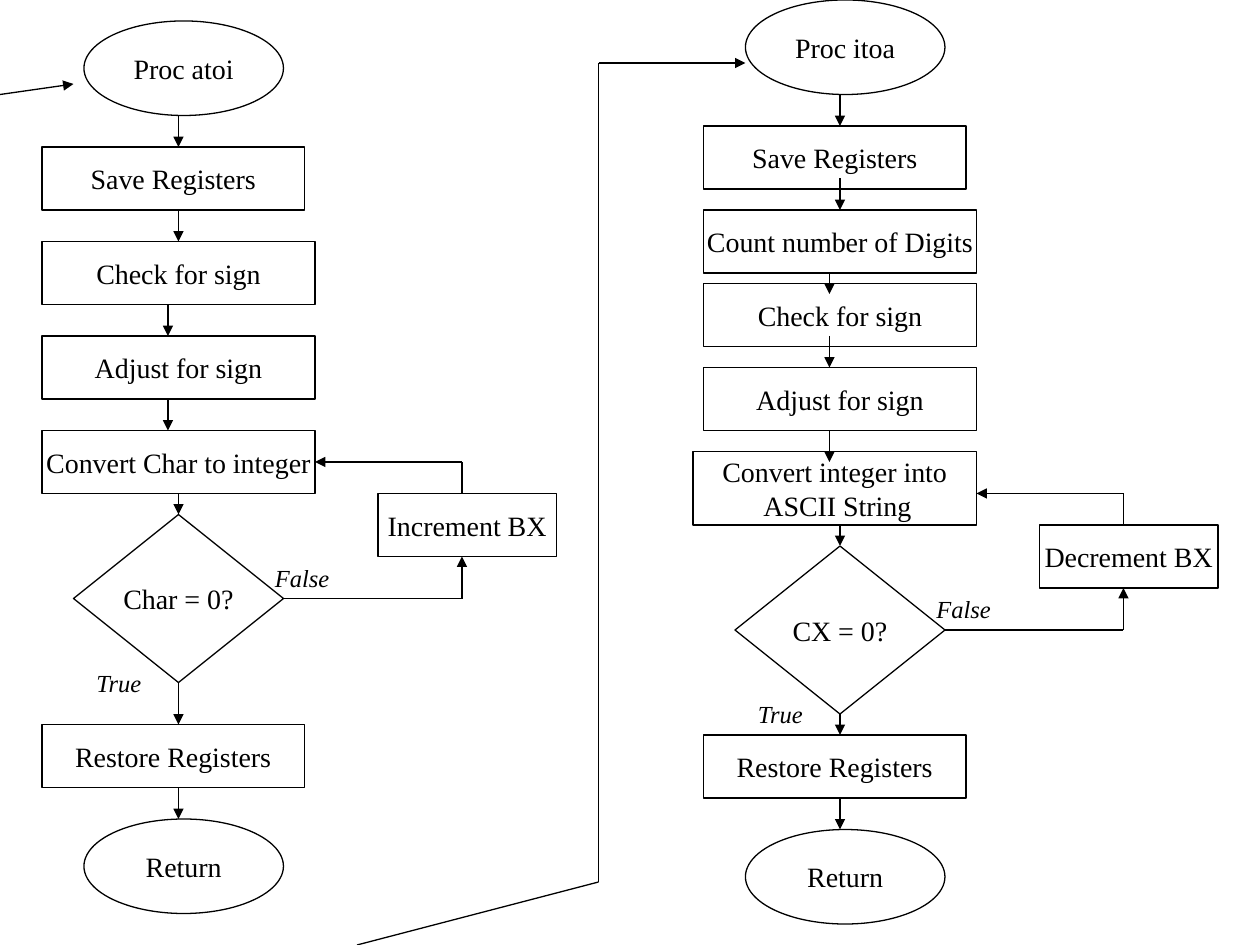
"""Build a slide with the atoi and itoa flowcharts side by side."""
from dataclasses import dataclass

from lxml import etree
from pptx import Presentation
from pptx import util as u
from pptx.dml.color import RGBColor
from pptx.enum import shapes, text
from pptx.oxml.ns import qn
from pptx.slide import Slide

PX = 9525
FONT = "Times New Roman"
BLACK, WHITE = "000000", "FFFFFF"
RECT = shapes.MSO_SHAPE.RECTANGLE
OVAL = shapes.MSO_SHAPE.OVAL
DIAMOND = shapes.MSO_SHAPE.DIAMOND
AXIS, SIGN_AXIS, LOOP_AXIS = 136, 128, 352


@dataclass(frozen=True)
class Node:
    """A flowchart symbol, measured in px from its chart's left edge."""
    words: tuple[str, ...]
    y: int
    x: int = 32
    width: int = 208
    height: int = 48
    kind: shapes.MSO_SHAPE = RECT


@dataclass(frozen=True)
class Line:
    """A straight line in px, with an arrowhead at its end or none."""
    x1: int
    y1: int
    x2: int
    y2: int
    head: bool = True


@dataclass(frozen=True)
class Chart:
    """One procedure: its steps, the arrows between them and its test."""
    left: int
    start: Node
    steps: tuple[Node, ...]
    drops: tuple[tuple[int, int, int], ...]
    test: str
    test_y: int
    counter: str


def px(length: int) -> u.Emu:
    """Turn px into EMU."""
    return u.Emu(length * PX)


def colour(value: str) -> RGBColor:
    """Turn a hex string into a colour."""
    return RGBColor.from_string(value)


def terminal(words: str, y: int) -> Node:
    """Describe a start or end oval."""
    return Node((words,), y, 64, 152, 72, OVAL)


def add_span(para, words: str, size: int, italic: bool = False) -> None:
    """Add one run of text to a paragraph."""
    span = para.add_run()
    span.text = words
    span.font.name = FONT
    span.font.size = u.Pt(size)
    span.font.italic = italic
    span.font.color.rgb = colour(BLACK)


def draw_node(page: Slide, node: Node, left: int):
    """Draw a symbol with its centred text."""
    box = page.shapes.add_shape(
        node.kind, px(left + node.x), px(node.y), px(node.width), px(node.height))
    box.shadow.inherit = False
    box.fill.solid()
    box.fill.fore_color.rgb = colour(WHITE)
    box.line.color.rgb = colour(BLACK)
    box.line.width = u.Pt(0.75)
    frame = box.text_frame
    frame.word_wrap = False
    frame.vertical_anchor = text.MSO_ANCHOR.MIDDLE
    for index, words in enumerate(node.words):
        para = frame.add_paragraph() if index else frame.paragraphs[0]
        para.alignment = text.PP_ALIGN.CENTER
        add_span(para, words, 16)
    return box


def draw_label(page: Slide, words: str, x: int, y: int) -> None:
    """Draw the italic name of a branch."""
    box = page.shapes.add_textbox(px(x), px(y), px(64), px(33))
    frame = box.text_frame
    frame.word_wrap = True
    frame.auto_size = text.MSO_AUTO_SIZE.SHAPE_TO_FIT_TEXT
    para = frame.paragraphs[0]
    para.space_before = u.Pt(8.8)
    add_span(para, words, 14, italic=True)


def side_middles(box) -> list[tuple[int, int]]:
    """List the middles of the top, left, bottom and right sides."""
    middle_x, middle_y = box.left + box.width // 2, box.top + box.height // 2
    return [(middle_x, box.top), (box.left, middle_y),
            (middle_x, box.top + box.height), (box.left + box.width, middle_y)]


def draw_line(page: Slide, line: Line, left: int = 0, boxes: tuple = ()) -> None:
    """Draw a line, joined to each box whose side middle it meets."""
    begin = px(left + line.x1), px(line.y1)
    end = px(left + line.x2), px(line.y2)
    link = page.shapes.add_connector(shapes.MSO_CONNECTOR.STRAIGHT, *begin, *end)
    link.line.color.rgb = colour(BLACK)
    link.line.width = u.Pt(0.75)
    if line.head:
        etree.SubElement(link.line._get_or_add_ln(), qn("a:tailEnd"), type="triangle")
    etree.SubElement(link._element.spPr, qn("a:effectLst"))
    for box in boxes:
        for site, point in enumerate(side_middles(box)):
            if point == begin:
                link.begin_connect(box, site)
            if point == end:
                link.end_connect(box, site)


def draw_chart(page: Slide, chart: Chart) -> None:
    """Draw a procedure with its test and the loop back."""
    top = chart.test_y
    test = Node((chart.test,), top, 56, 160, 128, DIAMOND)
    counter = Node((chart.counter,), top - 16, 288, 136)
    nodes = (test, counter, *chart.steps)
    boxes = tuple(draw_node(page, node, chart.left) for node in nodes)
    draw_label(page, "True", chart.left + 64, top + 112)
    draw_label(page, "False", chart.left + 200, top + 32)
    branch, back = top + 64, top - 40
    loop = (
        Line(216, branch, LOOP_AXIS, branch, head=False),
        Line(LOOP_AXIS, branch, LOOP_AXIS, top + 32),
        Line(LOOP_AXIS, back, LOOP_AXIS, top - 16, head=False),
        Line(LOOP_AXIS, back, 240, back),
    )
    drops = tuple(Line(x, y1, x, y2) for x, y1, y2 in chart.drops)
    for line in drops + loop:
        draw_line(page, line, chart.left, boxes)
    draw_node(page, chart.start, chart.left)


ATOI = Chart(
    0, terminal("Proc atoi", 16),
    (Node(("Save Registers",), 112, width=200), Node(("Check for sign",), 184),
     Node(("Adjust for sign",), 256), Node(("Convert Char to integer",), 328),
     Node(("Restore Registers",), 552, width=200), terminal("Return", 624)),
    ((AXIS, 80, 112), (AXIS, 160, 184), (SIGN_AXIS, 232, 256), (SIGN_AXIS, 304, 328),
     (AXIS, 376, 392), (AXIS, 520, 552), (AXIS, 600, 624)),
    "Char = 0?", 392, "Increment BX")
ITOA = Chart(
    504, terminal("Proc itoa", 0),
    (Node(("Save Registers",), 96, width=200), Node(("Count number of Digits",), 160),
     Node(("Check for sign",), 216), Node(("Adjust for sign",), 280),
     Node(("Convert integer into", " ASCII String"), 344, 24, 216, 56),
     Node(("Restore Registers",), 560, width=200), terminal("Return", 632)),
    ((AXIS, 64, 96), (AXIS, 136, 160), (SIGN_AXIS, 208, 224), (SIGN_AXIS, 256, 280),
     (SIGN_AXIS, 328, 352), (AXIS, 400, 416), (AXIS, 544, 560), (AXIS, 608, 632)),
    "CX = 0?", 416, "Decrement BX")
ENTRIES = (
    Line(0, 72, 56, 64),
    Line(272, 720, 456, 672, head=False),
    Line(456, 672, 456, 48, head=False),
    Line(456, 48, 568, 48),
)


def main() -> None:
    """Build and save the deck."""
    deck = Presentation()
    deck.slide_width, deck.slide_height = px(960), px(720)
    page = deck.slides.add_slide(deck.slide_layouts[6])
    for chart in (ATOI, ITOA):
        draw_chart(page, chart)
    for line in ENTRIES:
        draw_line(page, line)
    deck.save("out.pptx")


if __name__ == "__main__":
    main()
